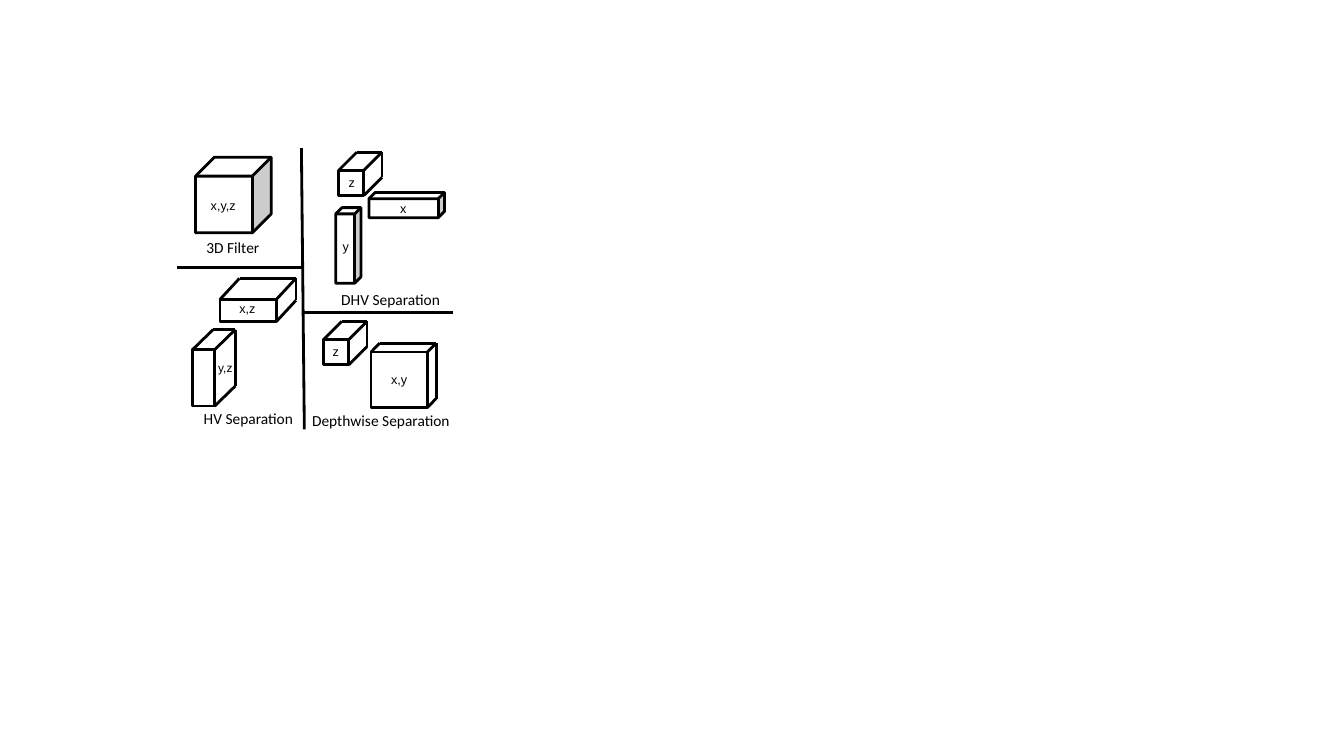
from pptx import Presentation
from pptx.dml.color import RGBColor
from pptx.enum.shapes import MSO_CONNECTOR, MSO_SHAPE
from pptx.enum.text import MSO_AUTO_SIZE, PP_ALIGN
from pptx.oxml.ns import qn
from pptx.util import Pt
from lxml.etree import SubElement

tint = {"ink": "000000", "page": "FFFFFF"}
ink = RGBColor.from_string(tint["ink"])
page = RGBColor.from_string(tint["page"])

deck = Presentation()
deck.slide_width, deck.slide_height = Pt(960), Pt(540)
slide = deck.slides.add_slide(deck.slide_layouts[6])


def solid(home, kind, left, top, width, height):
    shape = home.add_shape(kind, Pt(left), Pt(top), Pt(width), Pt(height))
    shape.shadow.inherit = False
    shape.fill.solid()
    shape.fill.fore_color.rgb = page
    shape.line.color.rgb = ink
    shape.line.width = Pt(2)


def edge(home, *ends):
    line = home.add_connector(MSO_CONNECTOR.STRAIGHT, *[Pt(end) for end in ends])
    line.line.color.rgb = ink
    line.line.width = Pt(2)
    SubElement(line._element.spPr, qn("a:effectLst"))


cubes = [(139.7, 112.3, 54, 54), (239.8, 148.3, 18, 54), (263.5, 137.5, 54, 18)]
for cube in cubes:
    solid(slide.shapes, MSO_SHAPE.CUBE, *cube)

walls = [
    (215.3, 105.8, 217.4, 306.7),
    (217.4, 223.2, 323.3, 223.2),
    (126.7, 190.8, 217.4, 190.8),
]
for wall in walls:
    edge(slide.shapes, *wall)

boxes = [
    (137.5, 249.8, 15.8, 40.3, 14.8, 14.4),
    (157.2, 213.8, 40.3, 15.8, 13.9, 15),
    (241.9, 121.7, 18, 18, 13, 13),
    (231.1, 242.6, 18, 18, 13, 13),
    (265, 251.5, 40.3, 39.6, 6.2, 6.4),
]
for left, top, width, height, deep, rise in boxes:
    group = slide.shapes.add_group_shape().shapes
    solid(group, MSO_SHAPE.RECTANGLE, left, top, width, height)
    right, base = left + width, top + height
    for x, y in [(left, top), (right, top), (right, base)]:
        edge(group, x, y, x + deep, y - rise)
    edge(group, left + deep, top - rise, right + deep, top - rise)
    edge(group, right + deep, top - rise, right + deep, base - rise)

names = [
    ("3D Filter", 131.8, 166.3, 69.1),
    ("DHV Separation", 236.2, 203.8, 85.7),
    ("HV Separation", 134.6, 288.7, 85.7),
    ("Depthwise Separation", 221, 293.8, 102.2),
]
marks = [
    ("x", 285.8, 143.3, 4.3, 9),
    ("y", 244.8, 170.6, 4.3, 9),
    ("z", 249.1, 124.6, 4.3, 9),
    ("z", 237.6, 245.5, 4.3, 9),
    ("x,y", 279.4, 265.7, 11.5, 9),
    ("x,y,z", 145.4, 141.1, 28.1, 9),
    ("x,z", 162.7, 215.3, 28.1, 9),
    ("y,z", 146.9, 257.8, 28.1, 8.5),
]
labels = [(*name, 11, "Calibri") for name in names]
labels += [(*mark, "Arial") for mark in marks]
for text, left, top, width, size, font in labels:
    tall = 20.9 if width < 100 and size == 11 else size * 1.2
    box = slide.shapes.add_textbox(Pt(left), Pt(top), Pt(width), Pt(tall))
    frame = box.text_frame
    frame.word_wrap = width > 20
    frame.auto_size = MSO_AUTO_SIZE.SHAPE_TO_FIT_TEXT
    if tall < 20:
        frame.margin_left = frame.margin_right = 0
        frame.margin_top = frame.margin_bottom = 0
    frame.text = text
    line = frame.paragraphs[0]
    line.alignment = PP_ALIGN.CENTER
    run = line.runs[0].font
    run.name, run.size = font, Pt(size)
    run.color.rgb = ink

deck.save("out.pptx")
